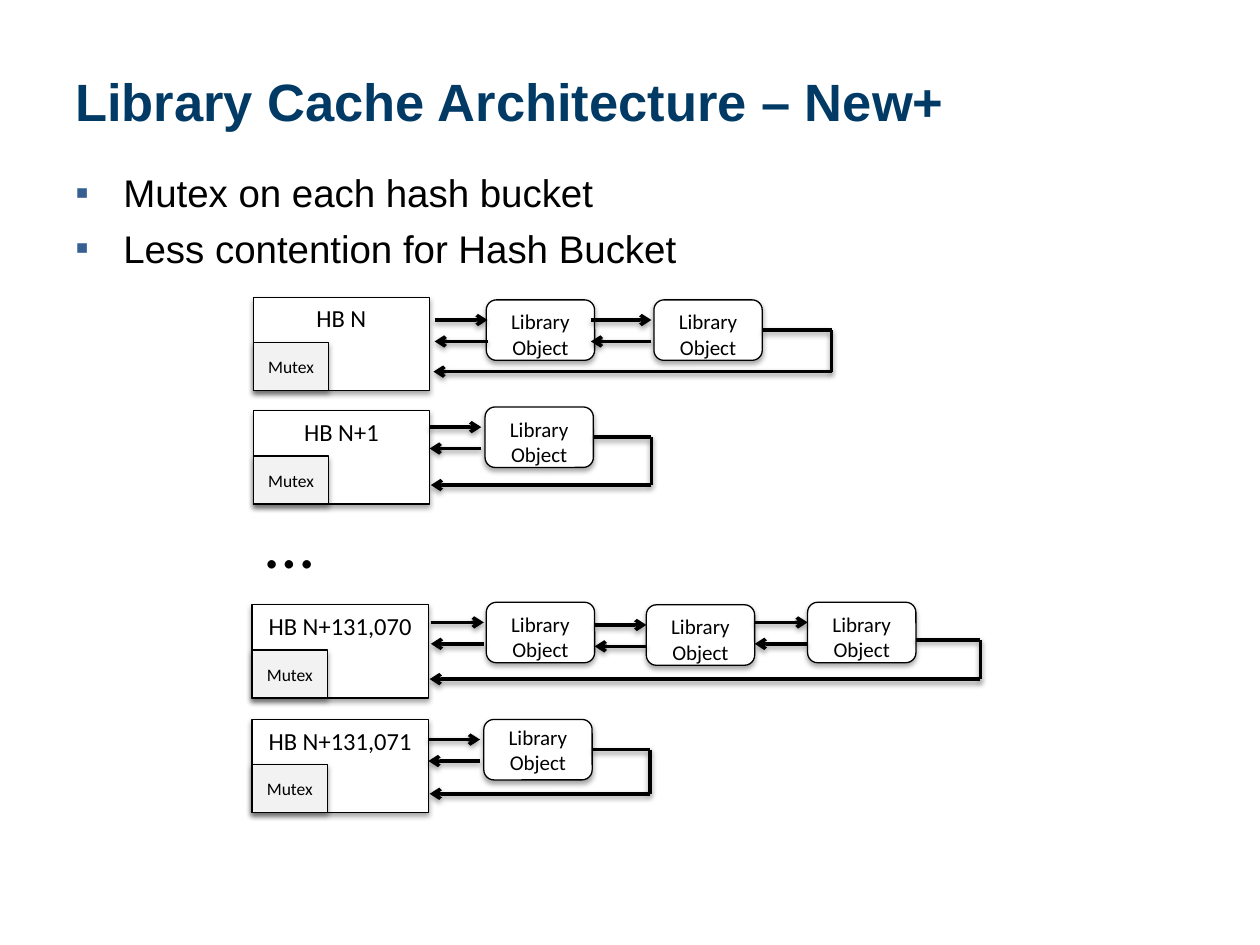
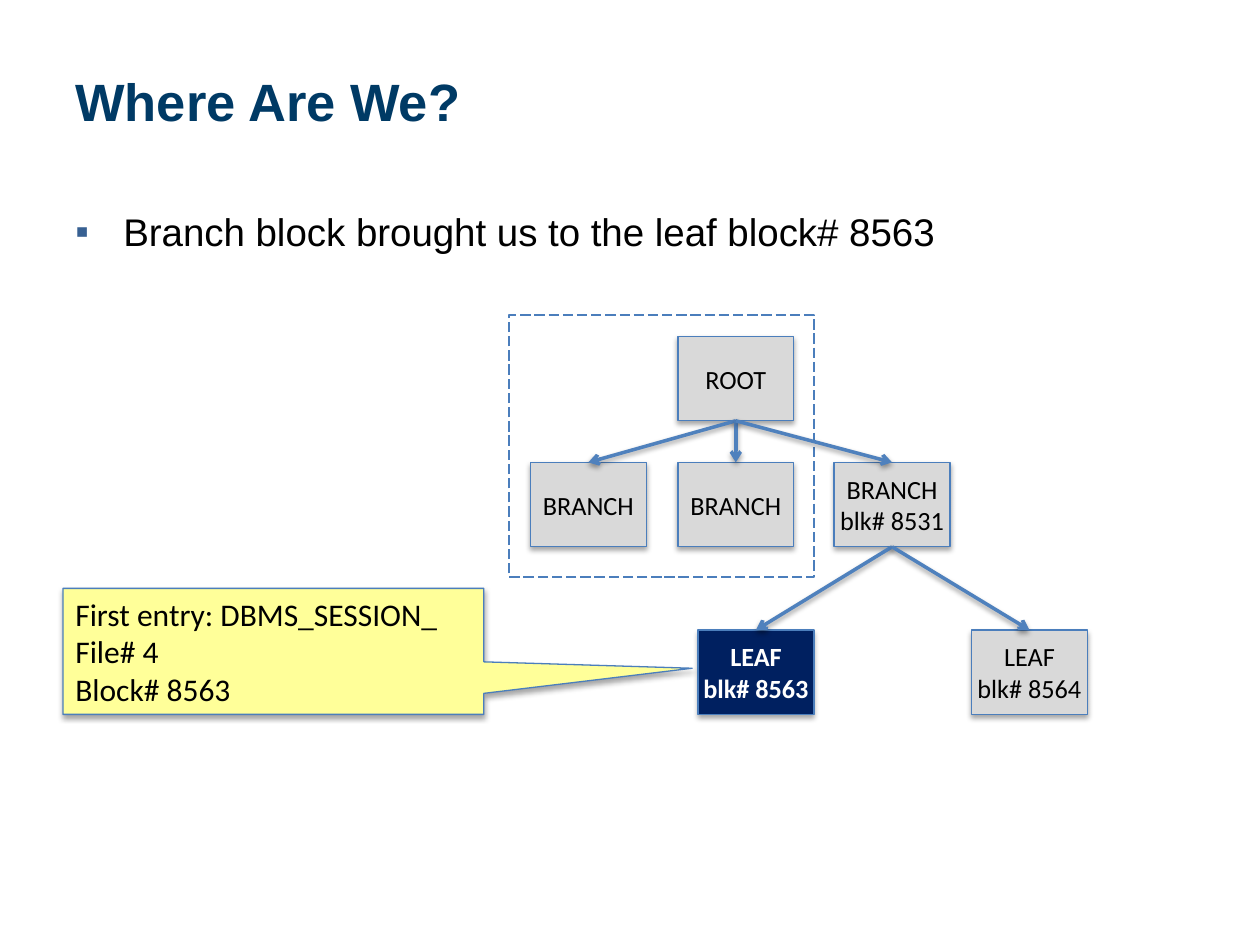
import pptx
import pptx.util
import pptx.oxml
import pptx.oxml.ns
import pptx.dml.color
import pptx.enum.dml
import pptx.enum.shapes
import pptx.enum.text
from lxml import etree

Inches = pptx.util.Inches
Pt = pptx.util.Pt
qn = pptx.oxml.ns.qn
KIND = pptx.enum.shapes.MSO_SHAPE
ALIGN = pptx.enum.text.PP_ALIGN
ANCHOR = pptx.enum.text.MSO_ANCHOR

HUES = {
    "title": "003A65", "bullet": "376092", "ink": "000000", "paper": "FFFFFF",
    "mutex": "F2F2F2", "block": "D9D9D9", "edge": "4B7EBC", "arrow": "4F81BD",
    "found": "002060", "note": "FFFF99",
}


def rgb(hue):
    return pptx.dml.color.RGBColor.from_string(HUES[hue])


def add(parent, tag, **attrs):
    """Append an XML child such as a:tailEnd."""
    child = etree.SubElement(parent, qn(tag))
    for key, value in attrs.items():
        child.set(key, str(value))
    return child


def write(shape, text, size=12, font="Calibri", hue="ink", bold=False,
          align=ALIGN.LEFT, anchor=ANCHOR.TOP, side=0.1, gap=0, bullet=None):
    frame = shape.text_frame
    frame.word_wrap = True
    frame.vertical_anchor = anchor
    frame.margin_left = frame.margin_right = Inches(side)
    for i, words in enumerate(text.split("\n")):
        para = frame.add_paragraph() if i else frame.paragraphs[0]
        para.alignment = align
        if bullet:
            props = para._p.get_or_add_pPr()
            props.set("marL", str(Inches(0.38)))
            props.set("indent", str(-Inches(0.38)))
            add(add(props, "a:buClr"), "a:srgbClr", val=HUES["bullet"])
            add(props, "a:buFont", typeface=font)
            add(props, "a:buChar", char=bullet)
        if i and gap:
            para.space_before = Pt(gap)
        run = para.add_run()
        run.text = words
        run.font.size = Pt(size)
        run.font.name = font
        run.font.bold = bold
        run.font.color.rgb = rgb(hue)


def shade(shape, alpha, dist):
    """Give a shape or connector a soft shadow straight below it."""
    props = shape._element.spPr
    effects = props.find(qn("a:effectLst"))
    if effects is None:
        effects = add(props, "a:effectLst")
    outer = add(effects, "a:outerShdw", blurRad=Pt(3.1), dist=Pt(dist),
                dir=5400000, rotWithShape=0)
    add(add(outer, "a:srgbClr", val=HUES["ink"]), "a:alpha", val=alpha * 1000)


def box(area, left, top, wide, high, fill, edge, kind=KIND.RECTANGLE,
        shadow=True):
    shape = area.add_shape(kind, Inches(left), Inches(top),
                           Inches(wide), Inches(high))
    shape.fill.solid()
    shape.fill.fore_color.rgb = rgb(fill)
    shape.line.color.rgb = rgb(edge)
    shape.line.width = Pt(0.75)
    shape.shadow.inherit = False
    if shadow:
        shade(shape, 35, 1.8)
    return shape


def line(area, start, end, hue="ink", head=True):
    link = area.add_connector(pptx.enum.shapes.MSO_CONNECTOR.STRAIGHT,
                              *map(Inches, start + end))
    link.line.color.rgb = rgb(hue)
    link.line.width = Pt(2)
    if head:
        add(link.line._get_or_add_ln(), "a:tailEnd", type="arrow")
    shade(link, 38, 1.6)
    return link


def label(slide, left, top, wide, high, text, **style):
    shape = slide.shapes.add_textbox(Inches(left), Inches(top),
                                     Inches(wide), Inches(high))
    write(shape, text, **style)


def page(deck, title, points, top):
    """Add a slide with its title and bullets, which start at top."""
    slide = deck.slides.add_slide(deck.slide_layouts[6])
    label(slide, 0.5, 0.3, 9.01, 0.99, title, size=30, font="Arial",
          hue="title", bold=True, anchor=ANCHOR.MIDDLE)
    label(slide, 0.5, top, 9.01, 6.92 - top, points, size=22, font="Arial",
          gap=5.5, bullet="▪")
    return slide


def chain(slide, left, top, name, nodes, turn, sink, drop=0,
          anchor=ANCHOR.TOP):
    """Draw a hash bucket and its linked objects.

    Each node is (x, y, arrow start, arrow end); turn and sink are the x
    of the return line's corner and tip; drop lowers its exit.
    """
    area = slide.shapes.add_group_shape().shapes
    bucket = box(area, left, top, 1.4, 0.74, "paper", "ink")
    write(bucket, name, size=14, align=ALIGN.CENTER)
    for x, y, start, end in nodes:
        node = box(area, left + x, top + y, 0.86, 0.48, "paper", "ink",
                   KIND.ROUNDED_RECTANGLE)
        write(node, "Library Object", align=ALIGN.CENTER, anchor=anchor)
        for step, (tail, tip) in ((0.16, (start, end)), (0.33, (end, start))):
            line(area, (left + tail, top + y + step),
                 (left + tip, top + y + step))
    out = top + y + 0.24 + drop
    back = top + 0.59
    exit = line(area, (left + x + 0.86, out), (left + turn, out), head=False)
    if not drop:
        exit.begin_connect(node, 3)
    line(area, (left + turn, out), (left + turn, back), head=False)
    line(area, (left + turn, back), (left + sink, back))
    mutex = box(area, left, top + 0.36, 0.6, 0.38, "mutex", "ink")
    write(mutex, "Mutex", size=10, align=ALIGN.CENTER, anchor=ANCHOR.MIDDLE)


def tree(slide, left, top):
    area = slide.shapes
    frame = box(area, left, top, 2.42, 2.08, "paper", "edge", shadow=False)
    frame.line.dash_style = pptx.enum.dml.MSO_LINE.LONG_DASH

    def block(x, y, text, fill="block", **style):
        shape = box(area, left + x, top + y, 0.92, 0.67, fill, "edge")
        write(shape, text, size=15, align=ALIGN.CENTER, anchor=ANCHOR.MIDDLE,
              side=0, **style)
        return shape

    root = block(1.34, 0.17, "ROOT")
    kids = [block(x, 1.17, text) for x, text in (
        (0.17, "BRANCH"), (1.34, "BRANCH"), (2.58, "BRANCH\nblk# 8531"))]
    leaves = [block(1.5, 2.5, "LEAF\nblk# 8563", "found", hue="paper",
                    bold=True),
              block(3.67, 2.5, "LEAF\nblk# 8564")]
    for parent, below in ((root, kids), (kids[-1], leaves)):
        for child in below:
            link = line(area, (left, top), (left, top), "arrow")
            link.begin_connect(parent, 2)
            link.end_connect(child, 0)


def note(slide, left, top):
    shape = box(slide.shapes, left, top, 3.34, 1, "note", "edge",
                KIND.RECTANGULAR_CALLOUT)
    shape.adjustments[0] = 0.995
    shape.adjustments[1] = 0.134
    write(shape, "First entry: DBMS_SESSION_\nFile# 4\nBlock# 8563", size=18)


def cache(deck):
    slide = page(deck, "Library Cache Architecture – New+",
                 "Mutex on each hash bucket\nLess contention for Hash Bucket",
                 1.29)
    chain(slide, 2.01, 2.36, "HB N",
          [(1.85, 0.02, 1.44, 1.86), (3.18, 0.02, 2.68, 3.16)], 4.59, 1.43)
    chain(slide, 2.01, 3.26, "HB N+1",
          [(1.84, -0.03, 1.4, 1.81)], 3.16, 1.41)
    chain(slide, 2, 4.8, "HB N+131,070",
          [(1.86, -0.02, 1.42, 1.84), (3.13, 0, 2.72, 3.13),
           (4.41, -0.02, 3.99, 4.41)], 5.78, 1.41, drop=0.06)
    chain(slide, 2, 5.71, "HB N+131,071",
          [(1.84, 0, 1.4, 1.81)], 3.16, 1.41, anchor=ANCHOR.MIDDLE)
    label(slide, 2.01, 4.21, 1.4, 0.46, "…", size=40, anchor=ANCHOR.BOTTOM)


def where(deck):
    slide = page(deck, "Where Are We?",
                 "Branch block brought us to the leaf block# 8563", 1.6)
    tree(slide, 4.04, 2.5)
    note(slide, 0.5, 4.67)


def main():
    deck = pptx.Presentation()
    deck.slide_width = Inches(10)
    deck.slide_height = Inches(7.5)
    cache(deck)
    where(deck)
    deck.save("out.pptx")


if __name__ == "__main__":
    main()
